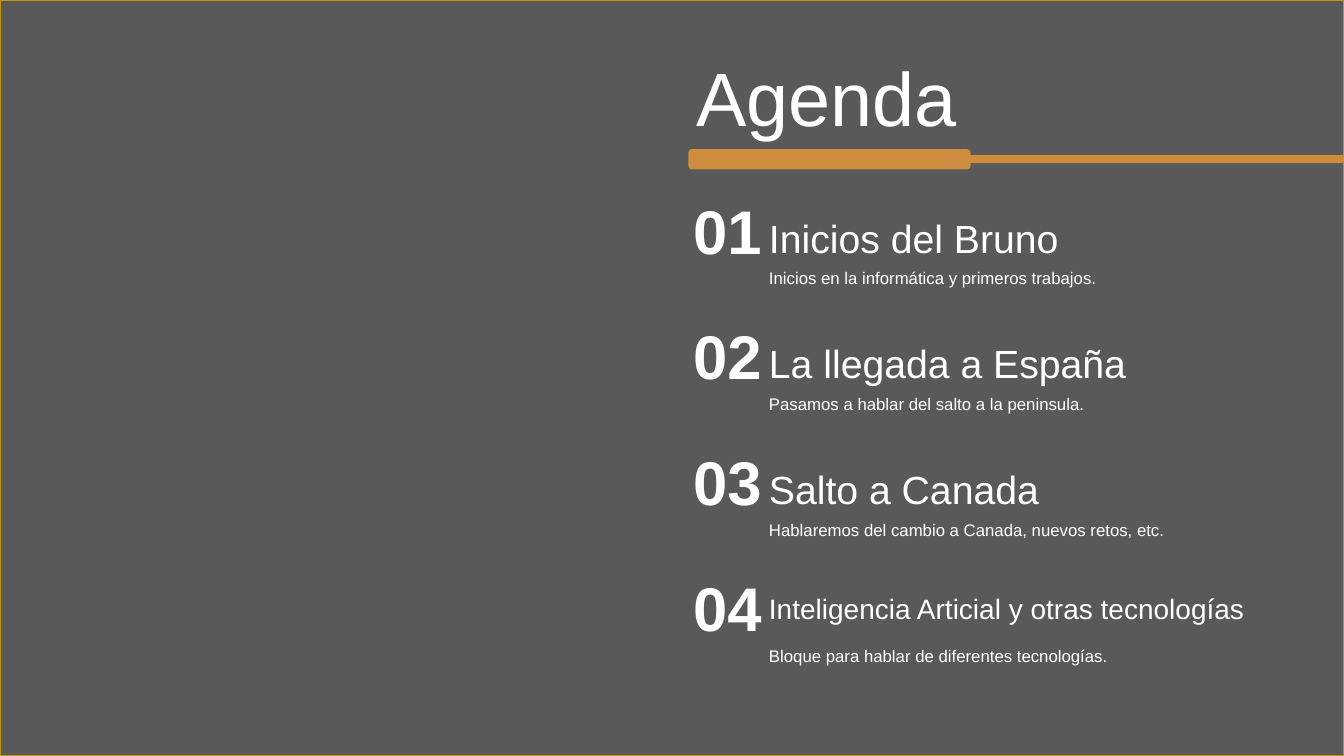
from lxml import etree
from pptx import Presentation
from pptx.dml.color import RGBColor
from pptx.enum.shapes import MSO_SHAPE
from pptx.enum.text import MSO_ANCHOR, MSO_AUTO_SIZE, PP_ALIGN
from pptx.oxml.ns import qn
from pptx.util import Cm, Pt

RECT, ROUNDED = MSO_SHAPE.RECTANGLE, MSO_SHAPE.ROUNDED_RECTANGLE
LEFT, CENTER = PP_ALIGN.LEFT, PP_ALIGN.CENTER
MIDDLE, TOP = MSO_ANCHOR.MIDDLE, MSO_ANCHOR.TOP
NO_AUTOFIT = MSO_AUTO_SIZE.NONE

WHITE = RGBColor(0xFF, 0xFF, 0xFF)
BLACK = RGBColor(0x00, 0x00, 0x00)
GOLD = RGBColor(0xBD, 0x95, 0x06)
ORANGE = RGBColor(0xCE, 0x8D, 0x3E)

SLIDE_W, SLIDE_H = 33.87, 19.05
TOPIC_TOP, TOPIC_PITCH = 4.72, 3.17
TOPICS = [
    ("Inicios del Bruno", 28, "Inicios en la informática y primeros trabajos."),
    ("La llegada a España", 28, "Pasamos a hablar del salto a la peninsula."),
    ("Salto a Canada", 28, "Hablaremos del cambio a Canada, nuevos retos, etc."),
    ("Inteligencia Articial y otras tecnologías", 20,
     "Bloque para hablar de diferentes tecnologías."),
]


class AgendaSlide:
    font = "Arial"

    def __init__(self, prs):
        self.slide = prs.slides.add_slide(prs.slide_layouts[5])

    def set_text(self, sp, text, size, bold=False, align=LEFT, anchor=TOP,
                 inset=(0.25, 0.13)):
        tf = sp.text_frame
        tf.word_wrap = True
        tf.auto_size = NO_AUTOFIT
        tf.vertical_anchor = anchor
        tf.margin_left = tf.margin_right = Cm(inset[0])
        tf.margin_top = tf.margin_bottom = Cm(inset[1])
        p = tf.paragraphs[0]
        p.text = text
        p.alignment = align
        p.font.name = self.font
        p.font.size = Pt(size)
        p.font.bold = bold
        p.font.color.rgb = WHITE

    def title(self, text, x, y, w, h):
        sp = self.slide.shapes.title
        sp.left, sp.top, sp.width, sp.height = Cm(x), Cm(y), Cm(w), Cm(h)
        self.set_text(sp, text, 54, anchor=MIDDLE)

    def text(self, text, x, y, w, h, size, **style):
        sp = self.slide.shapes.add_textbox(Cm(x), Cm(y), Cm(w), Cm(h))
        self.set_text(sp, text, size, **style)

    def box(self, kind, x, y, w, h, color):
        sp = self.slide.shapes.add_shape(kind, Cm(x), Cm(y), Cm(w), Cm(h))
        sp.shadow.inherit = False
        sp.fill.solid()
        sp.fill.fore_color.rgb = color
        sp.line.fill.background()
        return sp

    def backdrop(self):
        """Cover the slide with translucent black, behind the title."""
        sp = self.box(RECT, 0, 0, SLIDE_W, SLIDE_H, BLACK)
        sp.line.color.rgb = GOLD
        sp.line.width = Pt(1)
        color = sp._element.spPr.find(qn("a:solidFill")).find(qn("a:srgbClr"))
        etree.SubElement(color, qn("a:alpha")).set("val", "65000")
        self.slide.shapes.title._element.addprevious(sp._element)

    def topic(self, number, heading, size, detail, y):
        inset = (0.3, 0.13)
        self.text(detail, 19.13, y + 1.9, 12.95, 0.76, 12)
        self.text(heading, 19.08, y + 0.54, 12.95, 1.45, size, inset=inset)
        self.text(f"{number:02}", 16.97, y, 2.72, 2.16, 44,
                  bold=True, align=CENTER, inset=inset)


def main():
    prs = Presentation()
    prs.slide_width, prs.slide_height = Cm(SLIDE_W), Cm(SLIDE_H)
    agenda = AgendaSlide(prs)
    agenda.backdrop()
    agenda.title("Agenda", 17.3, 1.14, 13.87, 2.57)
    for i, (heading, size, detail) in enumerate(TOPICS):
        agenda.topic(i + 1, heading, size, detail, TOPIC_TOP + i * TOPIC_PITCH)
    agenda.box(RECT, 21.41, 3.91, SLIDE_W - 21.41, 0.2, ORANGE)
    agenda.box(ROUNDED, 17.35, 3.76, 7.11, 0.51, ORANGE)
    prs.save("out.pptx")


if __name__ == "__main__":
    main()
